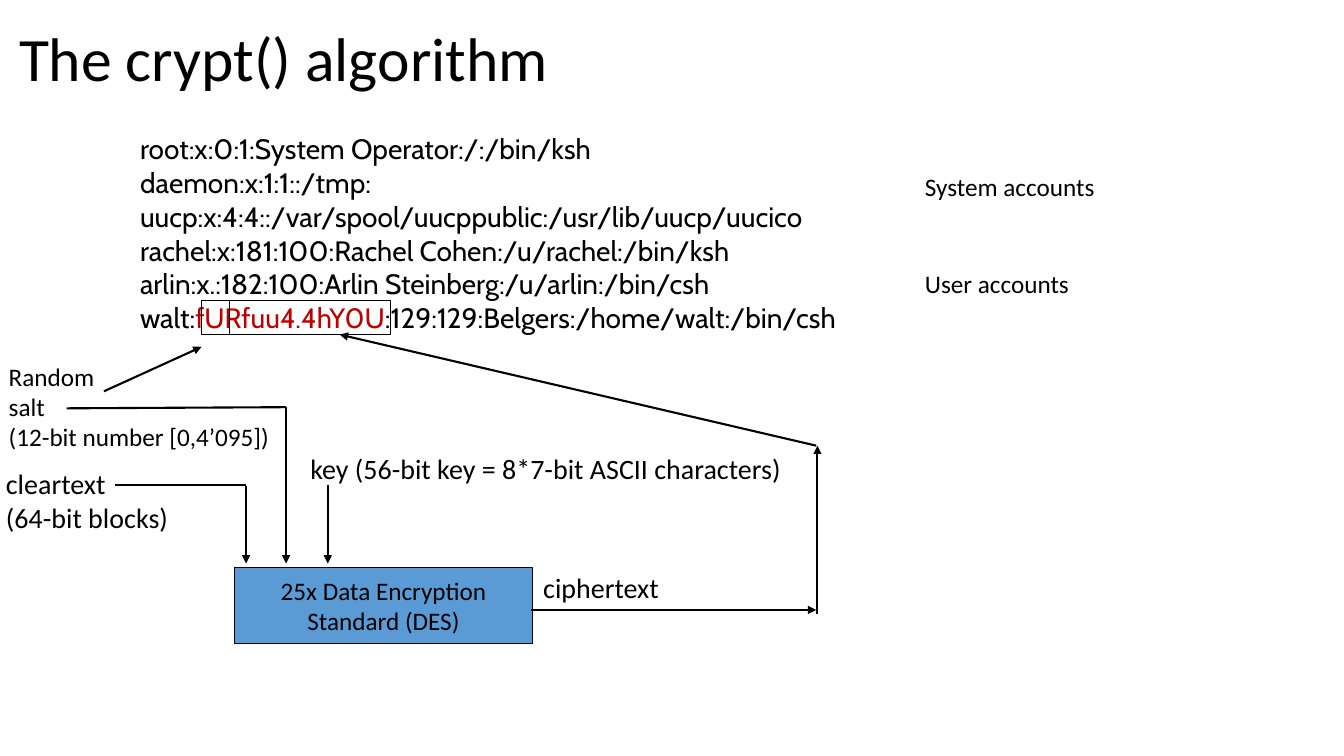
from lxml.etree import SubElement
from pptx import Presentation
from pptx.dml.color import RGBColor
from pptx.enum.shapes import MSO_CONNECTOR, MSO_SHAPE
from pptx.enum.text import MSO_ANCHOR, PP_ALIGN
from pptx.oxml.ns import qn
from pptx.util import Cm, Pt

COLORS = {"ink": "000000", "hash": "C00000", "cipher": "5B9BD5"}

PASSWD_LINES = [
    [("root:x:0:1:System Operator:/:/bin/ksh", "ink")],
    [("daemon:x:1:1::/tmp:", "ink")],
    [("uucp:x:4:4::/var/spool/uucppublic:/usr/lib/uucp/uucico", "ink")],
    [("rachel:x:181:100:Rachel Cohen:/u/rachel:/bin/ksh", "ink")],
    [("arlin:x.:182:100:Arlin Steinberg:/u/arlin:/bin/csh", "ink")],
    [("walt:", "ink"), ("fURfuu4.4hY0U", "hash"),
     (":129:129:Belgers:/home/walt:/bin/csh", "ink")],
]

# left, top, width, height in cm, font size, lines
LABELS = [
    (-0.03, 8.97, 7.39, 2.57, 18, ["Random", "salt", "(12-bit number [0,4’095])"]),
    (-0.1, 11.63, 4.65, 1.96, 20, ["cleartext", "(64-bit blocks)"]),
    (7.57, 11.25, 12.65, 1.96, 20, ["key (56-bit key = 8*7-bit ASCII characters)"]),
    (13.44, 14.25, 3.45, 1.12, 20, ["ciphertext"]),
    (23.06, 4.19, 4.83, 1.02, 18, ["System accounts"]),
    (23.06, 6.63, 4.19, 1.02, 18, ["User accounts"]),
]

# start x, y and end x, y in cm
PLAIN_LINES = [
    (2.9, 12.22, 6.2, 12.22),     # from cleartext
    (1.68, 10.29, 7.21, 10.26),   # from salt
]
ARROWS = [
    (6.2, 12.24, 6.2, 14.2),      # cleartext into DES
    (7.21, 10.26, 7.21, 14.2),    # salt into DES
    (8.26, 12.22, 8.26, 14.2),    # key into DES
    (13.39, 15.37, 20.57, 15.37),  # DES to ciphertext
    (20.6, 15.47, 20.6, 11.23),   # ciphertext upwards
    (20.57, 11.23, 8.56, 8.43),   # ciphertext to stored hash
    (2.62, 9.86, 5.08, 8.74),     # salt to stored salt
]


def rgb(name):
    return RGBColor.from_string(COLORS[name])


def add_runs(p, runs, size, font="Calibri"):
    for text, color in runs:
        r = p.add_run()
        r.text = text
        for name, value in {"name": font, "size": Pt(size)}.items():
            setattr(r.font, name, value)
        r.font.color.rgb = rgb(color)


def fill_text(tf, lines, size, font="Calibri", wrap=False, **formats):
    """Write one paragraph per line; formats are paragraph attributes."""
    tf.word_wrap = wrap
    for i, runs in enumerate(lines):
        p = tf.add_paragraph() if i else tf.paragraphs[0]
        for name, value in formats.items():
            if i or name != "space_before":
                setattr(p, name, value)
        add_runs(p, runs, size, font)


def plain(lines):
    return [[(line, "ink")] for line in lines]


def add_text(s, box, lines, size, **options):
    tf = s.shapes.add_textbox(*map(Cm, box)).text_frame
    fill_text(tf, lines, size, **options)
    return tf


def add_box(s, box, fill=None):
    sp = s.shapes.add_shape(MSO_SHAPE.RECTANGLE, *map(Cm, box))
    sp.shadow.inherit = False
    if fill:
        sp.fill.solid()
        sp.fill.fore_color.rgb = rgb(fill)
    else:
        sp.fill.background()
    sp.line.color.rgb = rgb("ink")
    sp.line.width = Pt(0.75)
    return sp


def add_line(s, points, arrow=False):
    line = s.shapes.add_connector(MSO_CONNECTOR.STRAIGHT, *map(Cm, points))
    line.line.color.rgb = rgb("ink")
    line.line.width = Pt(1.5)
    if arrow:
        SubElement(line.line._get_or_add_ln(), qn("a:tailEnd"), type="triangle")
    SubElement(line._element.spPr, qn("a:effectLst"))


def main():
    prs = Presentation()
    prs.slide_width, prs.slide_height = Cm(33.87), Cm(19.05)
    s = prs.slides.add_slide(prs.slide_layouts[6])

    title = add_text(s, (0.23, 0.18, 22.25, 2.74), plain(["The crypt() algorithm"]),
                     44, wrap=True, line_spacing=0.9)
    title.vertical_anchor = MSO_ANCHOR.MIDDLE

    passwd = add_text(s, (2.01, 3.35, 28.55, 5.59), PASSWD_LINES, 20, font="Cabin",
                      wrap=True, line_spacing=0.8, space_before=Pt(5))
    passwd.margin_left = Cm(1.52)

    add_box(s, (5.08, 7.57, 0.71, 0.86))
    add_box(s, (5.79, 7.57, 4.06, 0.86))
    des = add_box(s, (5.92, 14.3, 7.49, 1.91), "cipher").text_frame
    des.vertical_anchor = MSO_ANCHOR.MIDDLE
    fill_text(des, plain(["25x Data Encryption", "Standard (DES)"]), 18,
              alignment=PP_ALIGN.CENTER)

    for *box, size, lines in LABELS:
        add_text(s, box, plain(lines), size)
    for points in PLAIN_LINES:
        add_line(s, points)
    for points in ARROWS:
        add_line(s, points, arrow=True)

    prs.save("out.pptx")


if __name__ == "__main__":
    main()
